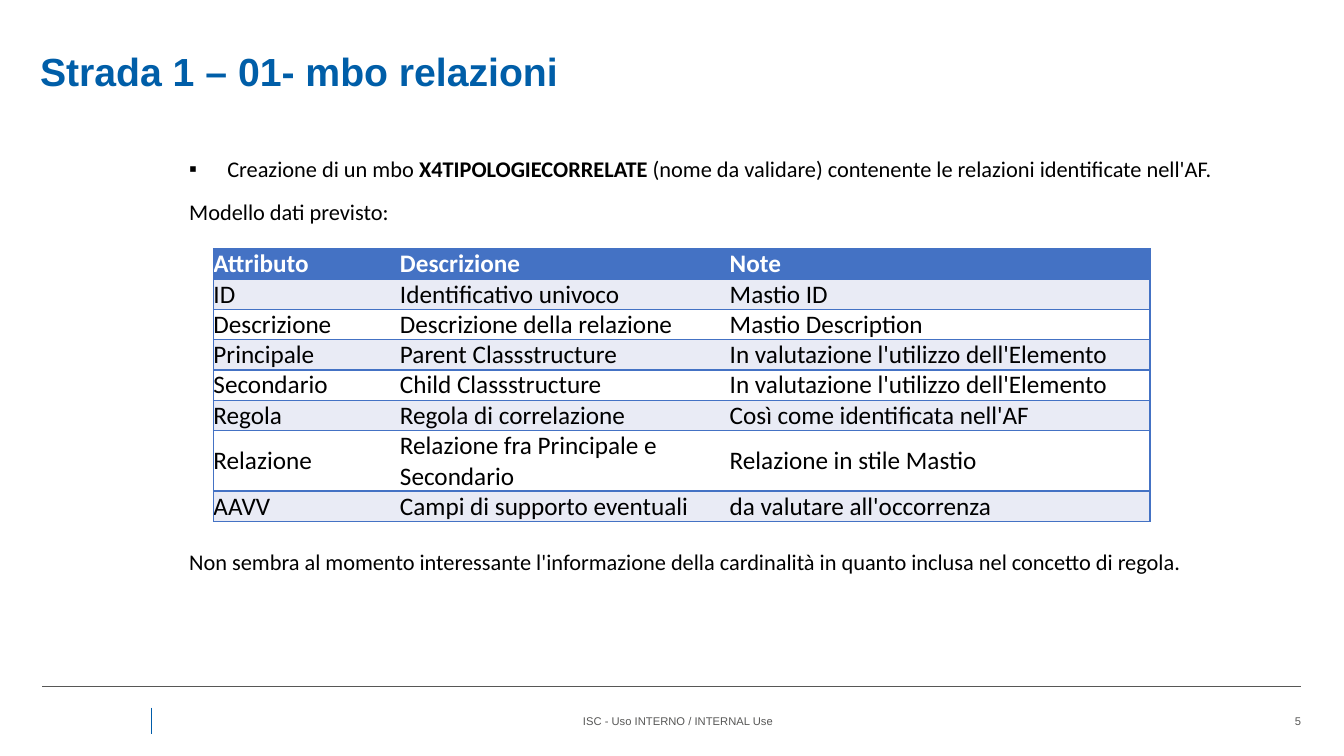
from dataclasses import dataclass

from lxml import etree
from pptx import Presentation
from pptx.dml.color import RGBColor
from pptx.enum import shapes, text
from pptx.oxml import ns
from pptx.util import Cm, Pt


@dataclass(frozen=True)
class Theme:
    title: str = "005EA8"
    footer: str = "575756"
    divider: str = "005CA9"
    body: str = "000000"
    header_text: str = "FFFFFF"
    accent: str = "4472C4"
    bands: tuple = ("FFFFFF", "E9EBF5")
    heading_font: str = "Arial"
    body_font: str = "Calibri"
    title_size: int = 28
    table_size: int = 18
    body_size: int = 16
    footer_size: int = 8


THEME = Theme()
COLUMN_WIDTHS = (4.7, 8.31, 10.59)
ROW_HEIGHT = 0.74
DATA_MODEL = (
    ("Attributo", "Descrizione", "Note"),
    ("ID", "Identificativo univoco", "Mastio ID"),
    ("Descrizione", "Descrizione della relazione", "Mastio Description"),
    ("Principale", "Parent Classstructure", "In valutazione l'utilizzo dell'Elemento"),
    ("Secondario", "Child Classstructure", "In valutazione l'utilizzo dell'Elemento"),
    ("Regola", "Regola di correlazione", "Così come identificata nell'AF"),
    ("Relazione", "Relazione fra Principale e Secondario", "Relazione in stile Mastio"),
    ("AAVV", "Campi di supporto eventuali", "da valutare all'occorrenza"),
)


def add_run(paragraph, words, font, size, color, bold=False):
    run = paragraph.add_run()
    run.text = words
    run.font.name = font
    run.font.size = Pt(size)
    run.font.bold = bold
    run.font.color.rgb = RGBColor.from_string(color)


def add_text_frame(slide, left, top, width, height, anchor=text.MSO_ANCHOR.MIDDLE):
    box = slide.shapes.add_textbox(Cm(left), Cm(top), Cm(width), Cm(height))
    frame = box.text_frame
    frame.word_wrap = True
    frame.vertical_anchor = anchor
    return frame


def add_label(slide, area, words, size, color, align, bold=False):
    paragraph = add_text_frame(slide, *area).paragraphs[0]
    paragraph.alignment = align
    add_run(paragraph, words, THEME.heading_font, size, color, bold)


def add_body_run(paragraph, words, bold=False):
    add_run(paragraph, words, THEME.body_font, THEME.body_size, THEME.body, bold)


def add_bullet(paragraph, hanging):
    properties = paragraph._p.get_or_add_pPr()
    properties.set("marL", str(Cm(hanging)))
    properties.set("indent", str(-Cm(hanging)))
    etree.SubElement(properties, ns.qn("a:buFont")).set("typeface", "Arial")
    etree.SubElement(properties, ns.qn("a:buChar")).set("char", "▪")


def add_rule(slide, x1, y1, x2, y2, color, weight):
    rule = slide.shapes.add_connector(
        shapes.MSO_CONNECTOR.STRAIGHT, Cm(x1), Cm(y1), Cm(x2), Cm(y2))
    rule.line.color.rgb = RGBColor.from_string(color)
    rule.line.width = Pt(weight)
    etree.SubElement(rule._element.spPr, ns.qn("a:effectLst"))


def set_borders(cell, visible):
    """Draw the named sides (L, R, T, B) and hide the others; call before filling."""
    properties = cell._tc.get_or_add_tcPr()
    for side in "LRTB":
        border = etree.SubElement(properties, ns.qn(f"a:ln{side}"), w=str(Pt(1)))
        if side in visible:
            fill = etree.SubElement(border, ns.qn("a:solidFill"))
            etree.SubElement(fill, ns.qn("a:srgbClr"), val=THEME.accent)
        else:
            etree.SubElement(border, ns.qn("a:noFill"))


def fill_cell(cell, words, row, column):
    is_header = row == 0
    sides = "TB" + "L" * (column == 0) + "R" * (column == len(COLUMN_WIDTHS) - 1)
    set_borders(cell, sides)
    cell.fill.solid()
    fill_color = THEME.accent if is_header else THEME.bands[row % 2]
    cell.fill.fore_color.rgb = RGBColor.from_string(fill_color)
    cell.margin_left = cell.margin_right = cell.margin_top = cell.margin_bottom = 0
    cell.vertical_anchor = text.MSO_ANCHOR.MIDDLE
    add_run(cell.text_frame.paragraphs[0], words, THEME.body_font, THEME.table_size,
            THEME.header_text if is_header else THEME.body, is_header)


def add_data_model(slide, left, top):
    table = slide.shapes.add_table(
        len(DATA_MODEL), len(COLUMN_WIDTHS), Cm(left), Cm(top),
        Cm(sum(COLUMN_WIDTHS)), Cm(ROW_HEIGHT * len(DATA_MODEL))).table
    table.horz_banding = False
    for column, width in zip(table.columns, COLUMN_WIDTHS):
        column.width = Cm(width)
    for row, attribute in enumerate(DATA_MODEL):
        table.rows[row].height = Cm(ROW_HEIGHT)
        for column, words in enumerate(attribute):
            fill_cell(table.cell(row, column), words, row, column)


def add_introduction(slide):
    frame = add_text_frame(slide, 4.52, 3.78, 28.5, 2.2, text.MSO_ANCHOR.TOP)
    creation = frame.paragraphs[0]
    add_bullet(creation, 0.96)
    add_body_run(creation, "Creazione di un mbo ")
    add_body_run(creation, "X4TIPOLOGIECORRELATE ", bold=True)
    add_body_run(creation, "(nome da validare) contenente le relazioni identificate nell'AF.")
    model = frame.add_paragraph()
    model.space_before = Pt(12)
    add_body_run(model, "Modello dati previsto:")


def add_conclusion(slide):
    frame = add_text_frame(slide, 4.52, 13.7, 28.5, 0.95, text.MSO_ANCHOR.TOP)
    add_body_run(frame.paragraphs[0],
                 "Non sembra al momento interessante l'informazione della cardinalità "
                 "in quanto inclusa nel concetto di regola.")


def add_footer(slide):
    add_rule(slide, 1.07, 17.3, 32.79, 17.3, THEME.footer, 0.5)
    add_rule(slide, 3.81, 17.83, 3.81, 18.49, THEME.divider, 0.75)
    add_label(slide, (14.17, 18.01, 5.84, 0.33), "ISC - Uso INTERNO / INTERNAL Use",
              THEME.footer_size, THEME.footer, text.PP_ALIGN.CENTER)
    add_label(slide, (31.85, 18.01, 1.19, 0.33), "5",
              THEME.footer_size, THEME.footer, text.PP_ALIGN.RIGHT)


def main():
    deck = Presentation()
    deck.slide_width, deck.slide_height = Cm(33.87), Cm(19.05)
    slide = deck.slides.add_slide(deck.slide_layouts[6])
    add_label(slide, (0.76, 1.35, 31.93, 0.89), "Strada 1 – 01- mbo relazioni",
              THEME.title_size, THEME.title, text.PP_ALIGN.LEFT, bold=True)
    add_introduction(slide)
    add_data_model(slide, 5.38, 6.27)
    add_conclusion(slide)
    add_footer(slide)
    deck.save("out.pptx")


if __name__ == "__main__":
    main()
